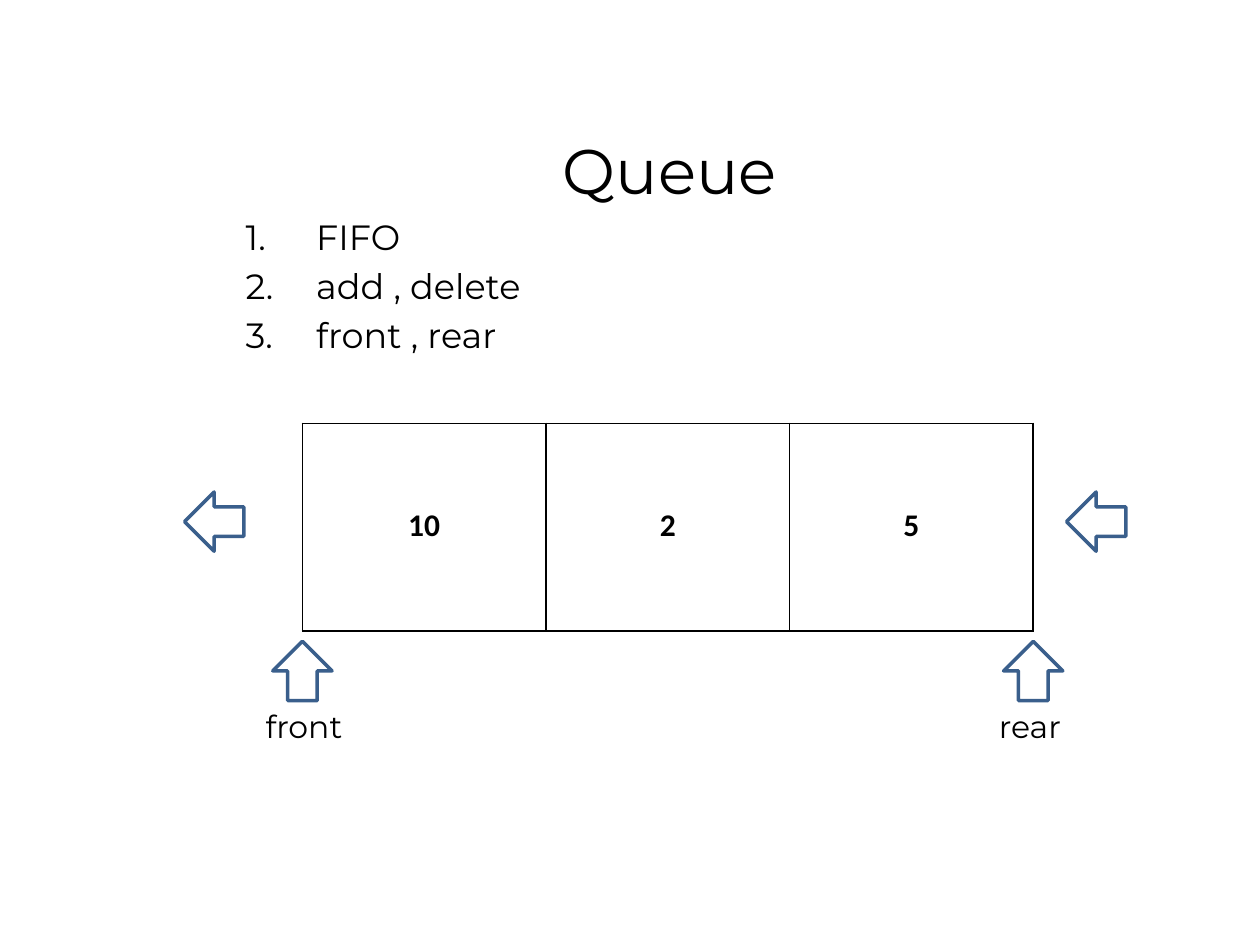
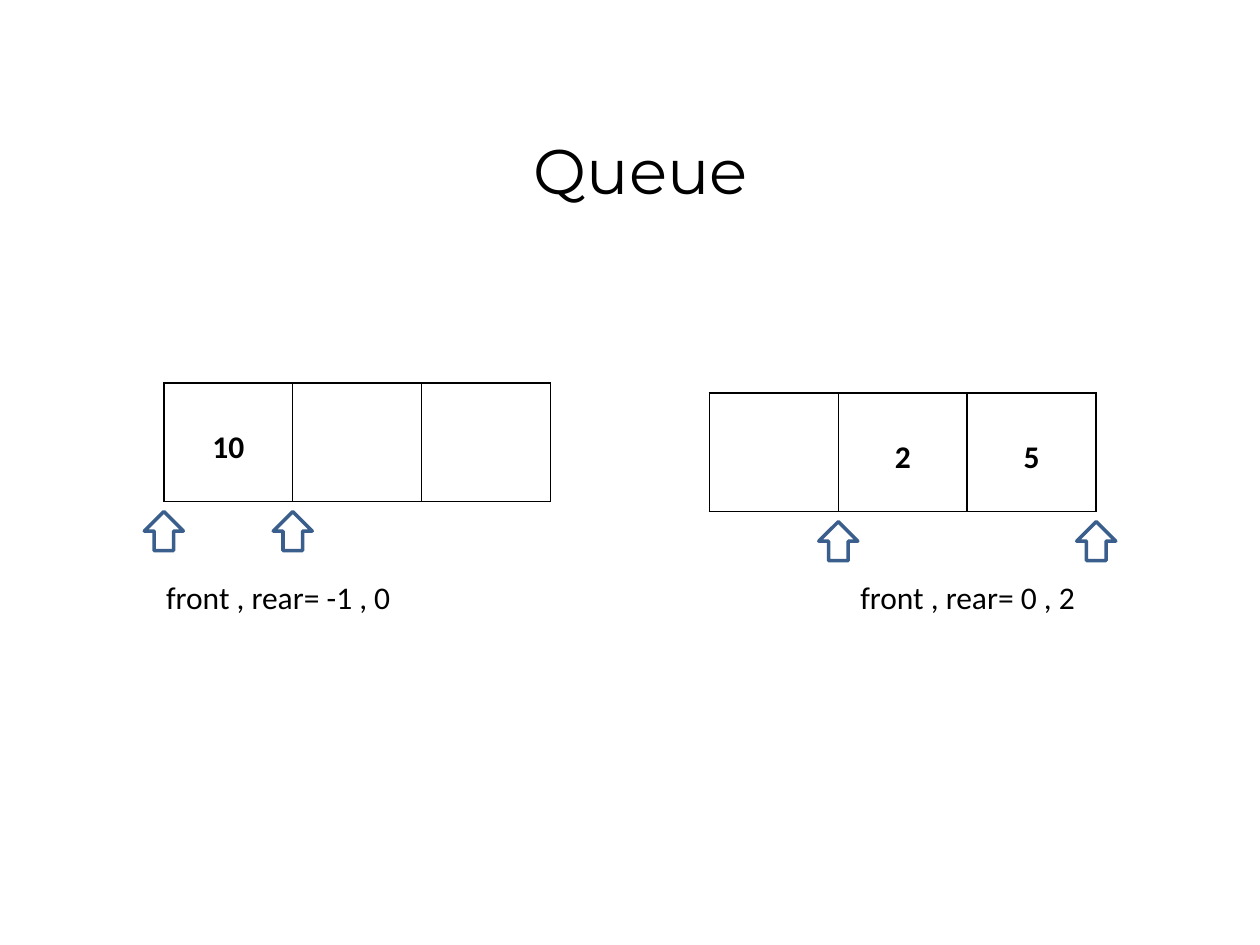
from dataclasses import dataclass

from lxml.etree import SubElement
from pptx import Presentation
from pptx.dml.color import RGBColor
from pptx.enum.shapes import MSO_SHAPE
from pptx.enum.text import MSO_ANCHOR, MSO_AUTO_SIZE, PP_ALIGN
from pptx.oxml.ns import qn
from pptx.util import Inches, Pt

BLACK = RGBColor(0x00, 0x00, 0x00)
WHITE = RGBColor(0xFF, 0xFF, 0xFF)
BLUE = RGBColor(0x3A, 0x5F, 0x8C)
HEAD_FONT = "Montserrat"
CELL_FONT = "Calibri"
GAP = 0.08  # between a queue and the arrows under it
INDENT = 0.56


@dataclass
class Queue:
    """A row of equal cells, with arrows under some of its cell edges."""
    left: float
    top: float
    width: float
    height: float
    values: tuple[str, ...]
    inset: float  # from the cell top to its text
    edges: tuple[int, ...]
    arrow: float  # arrow size

    @property
    def step(self) -> float:
        """Width of one cell."""
        return self.width / len(self.values)


@dataclass
class Label:
    """A one-line caption."""
    text: str
    left: float
    top: float
    width: float
    font: str


def style(para, font: str, size: float, bold: bool = False) -> None:
    """Set the font of a whole paragraph."""
    para.font.name = font
    para.font.size = Pt(size)
    para.font.bold = bold
    para.font.color.rgb = BLACK


def place(shape, left: float, top: float, width: float, height: float) -> None:
    """Move and size a placeholder, with its text at the top."""
    shape.left, shape.top = Inches(left), Inches(top)
    shape.width, shape.height = Inches(width), Inches(height)
    shape.text_frame.vertical_anchor = MSO_ANCHOR.TOP
    shape.text_frame.auto_size = MSO_AUTO_SIZE.NONE


def add_title(slide, left: float, width: float) -> None:
    """Fill the title placeholder."""
    title = slide.shapes.title
    place(title, left, 0.99, width, 0.7)
    title.text_frame.text = "Queue"
    para = title.text_frame.paragraphs[0]
    para.alignment = PP_ALIGN.CENTER
    style(para, HEAD_FONT, 36)


def add_list(slide, items: tuple[str, ...]) -> None:
    """Fill the body placeholder with a numbered list."""
    body = slide.placeholders[1]
    place(body, 1.85, 1.66, 6.93, 1.3)
    body.text_frame.text = "\n".join(items)
    for para in body.text_frame.paragraphs:
        para.space_before = Pt(4)
        style(para, HEAD_FONT, 20)
        props = para._p.get_or_add_pPr()
        props.set("marL", str(Inches(INDENT)))
        props.set("indent", str(-Inches(INDENT)))
        number = SubElement(props, qn("a:buAutoNum"), type="arabicPeriod")
        props.remove(number)
        props.insert_element_before(number, "a:tabLst", "a:defRPr")


def add_borders(cell) -> None:
    """Draw thin black lines on all sides of a cell."""
    props = cell._tc.get_or_add_tcPr()
    for index, side in enumerate(("lnL", "lnR", "lnT", "lnB")):
        line = SubElement(props, qn(f"a:{side}"), w=str(Pt(1)))
        fill = SubElement(line, qn("a:solidFill"))
        SubElement(fill, qn("a:srgbClr"), val=str(BLACK))
        props.insert(index, line)


def add_arrow(slide, mid: float, centre: float, size: float,
              turn: float = 0) -> None:
    """Draw a left arrow about its centre point, turned clockwise."""
    arrow = slide.shapes.add_shape(
        MSO_SHAPE.LEFT_ARROW, Inches(mid - size / 2),
        Inches(centre - size / 2), Inches(size), Inches(size))
    arrow.rotation = turn
    arrow.shadow.inherit = False
    arrow.fill.solid()
    arrow.fill.fore_color.rgb = WHITE
    arrow.line.color.rgb = BLUE
    arrow.line.width = Pt(2)


def add_queue(slide, queue: Queue) -> None:
    """Draw a queue as a one-row table, with its arrows."""
    table = slide.shapes.add_table(
        1, len(queue.values), Inches(queue.left), Inches(queue.top),
        Inches(queue.width), Inches(queue.height)).table
    table.first_row = table.horz_banding = False
    for cell, value in zip(table.iter_cells(), queue.values):
        cell.fill.background()
        add_borders(cell)
        if value:
            cell.text = value
            cell.margin_top = Inches(queue.inset)
            para = cell.text_frame.paragraphs[0]
            para.alignment = PP_ALIGN.CENTER
            style(para, CELL_FONT, 18, bold=True)
    centre = queue.top + queue.height + GAP + queue.arrow / 2
    for edge in queue.edges:
        add_arrow(slide, queue.left + edge * queue.step, centre,
                  queue.arrow, 90)


def add_label(slide, label: Label) -> None:
    """Write a caption."""
    frame = slide.shapes.add_textbox(
        Inches(label.left), Inches(label.top),
        Inches(label.width), Inches(0.4)).text_frame
    frame.word_wrap = False
    frame.auto_size = MSO_AUTO_SIZE.SHAPE_TO_FIT_TEXT
    frame.text = label.text
    style(frame.paragraphs[0], label.font, 18)


def add_basics(deck) -> None:
    """Build the slide on what a queue is."""
    slide = deck.slides.add_slide(deck.slide_layouts[1])
    add_title(slide, 1.85, 6.93)
    add_list(slide, ("FIFO", "add , delete", "front , rear"))
    add_queue(slide, Queue(2.4, 3.36, 5.8, 1.65, ("10", "2", "5"),
                           0.66, (0, 3), 0.47))
    for mid in (1.7, 8.7):
        add_arrow(slide, mid, 4.14, 0.47)
    add_label(slide, Label("front", 2.01, 5.56, 0.87, HEAD_FONT))
    add_label(slide, Label("rear", 7.83, 5.56, 0.77, HEAD_FONT))


def add_states(deck) -> None:
    """Build the slide on two states of a queue."""
    slide = deck.slides.add_slide(deck.slide_layouts[5])
    add_title(slide, 0.91, 8.35)
    add_queue(slide, Queue(1.3, 3.04, 3.07, 0.94, ("10", "", ""),
                           0.36, (0, 1), 0.31))
    add_queue(slide, Queue(5.63, 3.12, 3.07, 0.94, ("", "2", "5"),
                           0.36, (1, 3), 0.31))
    add_label(slide, Label("front , rear= -1 , 0", 1.22, 4.54, 2, CELL_FONT))
    add_label(slide, Label("front , rear= 0 , 2", 6.73, 4.54, 1.93, CELL_FONT))


deck = Presentation()
deck.slide_width, deck.slide_height = Inches(10), Inches(7.5)
add_basics(deck)
add_states(deck)
deck.save("out.pptx")
